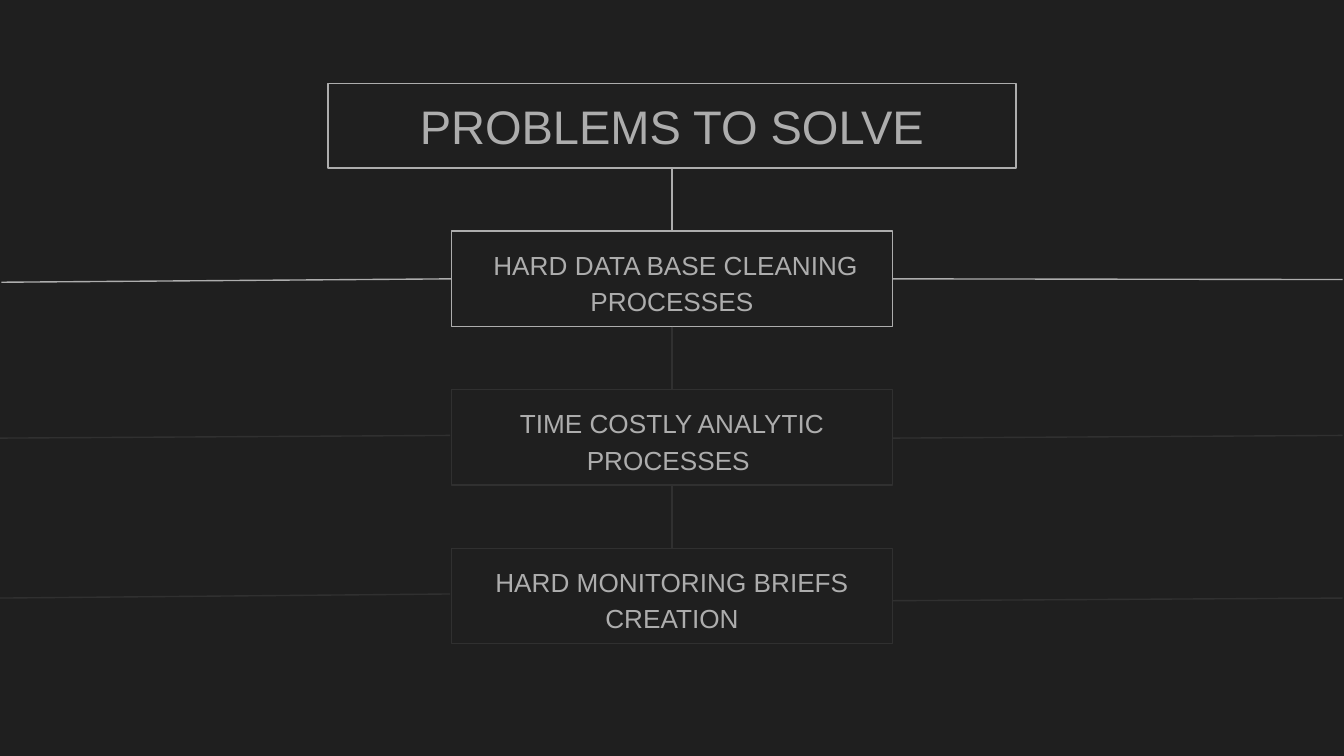
from lxml.etree import SubElement
from pptx import Presentation
from pptx.dml.color import RGBColor as Rgb
from pptx.enum.shapes import MSO_CONNECTOR as Link, MSO_SHAPE as Shape
from pptx.enum.text import MSO_ANCHOR as Anchor, MSO_AUTO_SIZE as Fit, PP_ALIGN as Align
from pptx.oxml.ns import qn
from pptx.util import Inches, Pt

COLORS = {"back": "1F1F1F", "light": "ADADAD", "dim": "303030"}
WIDE = Inches(10)
INSET = Inches(0.1)
FRAME = {"word_wrap": True, "margin_left": INSET, "margin_right": INSET,
         "margin_top": INSET, "margin_bottom": INSET}
HEAD = {"vertical_anchor": Anchor.MIDDLE}
ITEM = {"vertical_anchor": Anchor.TOP, "auto_size": Fit.SHAPE_TO_FIT_TEXT}
LOOSE = {"line_spacing": 1.15, "space_after": Pt(12)}

STEPS = [
    (" HARD DATA BASE CLEANING PROCESSES", "light",
     [(0, 0.35, -3.35, 0.38), (3.28, 0.35, 6.63, 0.36)]),
    ("TIME COSTLY ANALYTIC PROCESSES ", "dim",
     [(-0.01, 0.34, -3.36, 0.36), (6.63, 0.34, 3.28, 0.36)]),
    ("HARD MONITORING BRIEFS CREATION", "dim",
     [(-0.01, 0.34, -3.36, 0.37), (6.63, 0.37, 3.28, 0.39)]),
]


def color(name):
    return Rgb.from_string(COLORS[name])


def apply(target, values):
    for name, value in values.items():
        setattr(target, name, value)


def stroke(shape, tone):
    shape.line.color.rgb = color(tone)
    shape.line.width = Pt(0.75)


def add_box(slide, box, text, size, tone, frame, para):
    shape = slide.shapes.add_shape(Shape.RECTANGLE, *map(Inches, box))
    shape.shadow.inherit = False
    shape.fill.background()
    stroke(shape, tone)
    apply(shape.text_frame, FRAME | frame)
    line = shape.text_frame.paragraphs[0]
    apply(line, {"alignment": Align.CENTER} | para)
    run = line.add_run()
    run.text = text
    apply(run.font, {"name": "Arial", "size": Pt(size)})
    run.font.color.rgb = color("light")
    return shape


def add_line(slide, ends, tone):
    line = slide.shapes.add_connector(Link.STRAIGHT, *map(Inches, ends))
    stroke(line, tone)
    SubElement(line._element.spPr, qn("a:effectLst"))
    return line


def add_title(slide, box):
    return add_box(slide, box, "PROBLEMS TO SOLVE", 25.2, "light", HEAD, {})


def add_steps(slide, box, pitch, above):
    left, top, width, height = box
    mid = left + width / 2
    for row, (text, tone, rays) in enumerate(STEPS):
        y = top + row * pitch
        step = add_box(slide, (left, y, width, height), text, 14, tone, ITEM, LOOSE)
        stem = add_line(slide, (mid, y - 0.48, mid, y), tone)
        stem.begin_connect(above, 2)
        stem.end_connect(step, 0)
        for side, (x1, y1, x2, y2) in zip((1, 3), rays):
            ray = add_line(slide, (left + x1, y + y1, left + x2, y + y2), tone)
            if row == 0:
                ray.begin_connect(step, side)
        above = step


def main():
    deck = Presentation()
    apply(deck, {"slide_width": WIDE, "slide_height": WIDE * 9 // 16})
    slide = deck.slides.add_slide(deck.slide_layouts[6])
    slide.background.fill.solid()
    slide.background.fill.fore_color.rgb = color("back")
    title = add_title(slide, (2.44, 0.62, 5.12, 0.63))
    add_steps(slide, (3.36, 1.72, 3.28, 0.71), 1.18, title)
    deck.save("out.pptx")


if __name__ == "__main__":
    main()
